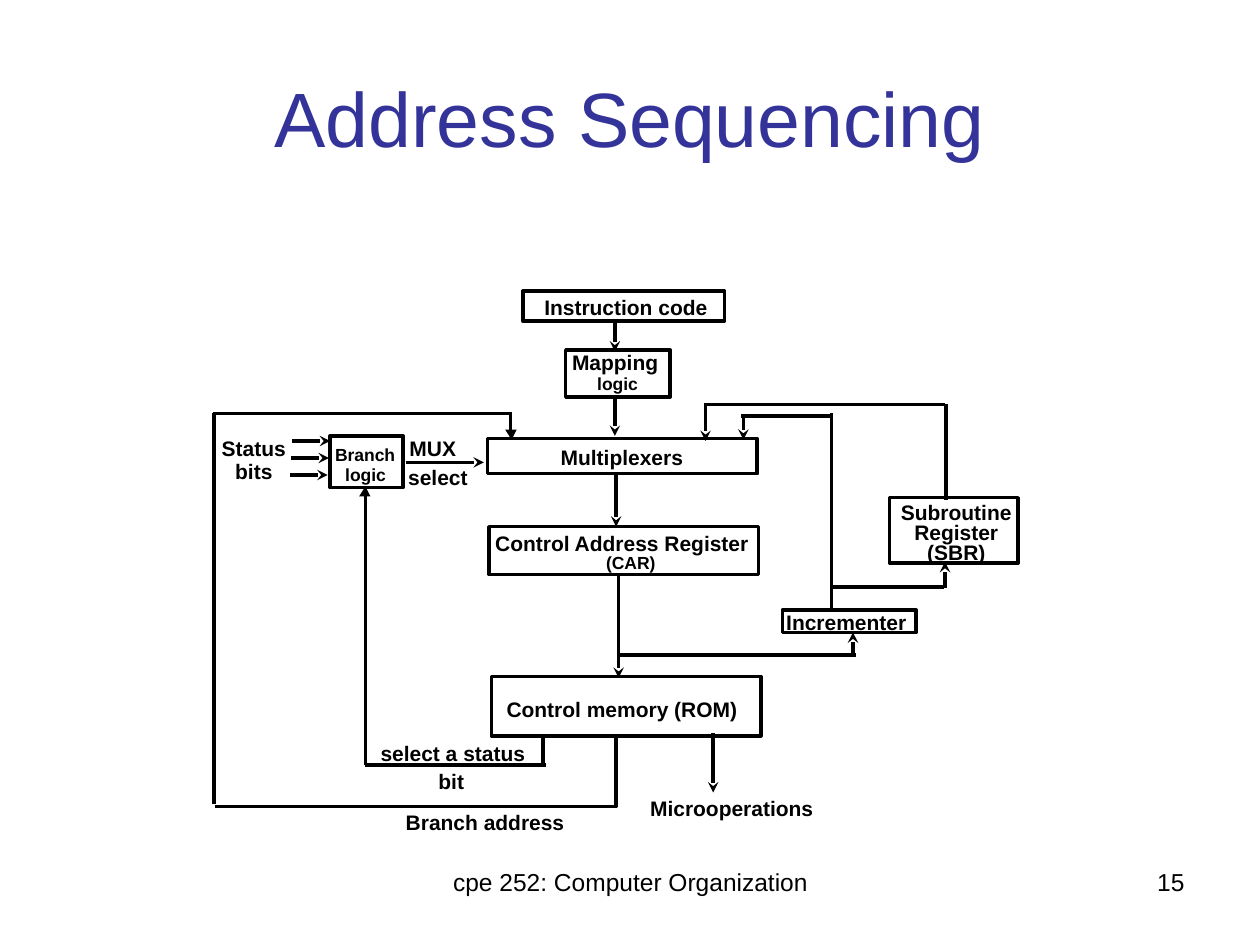
from lxml import etree
from pptx import Presentation
from pptx.dml.color import RGBColor
from pptx.enum.shapes import MSO_CONNECTOR, MSO_SHAPE
from pptx.enum.text import MSO_ANCHOR, MSO_AUTO_SIZE, PP_ALIGN
from pptx.oxml.ns import qn
from pptx.util import Inches, Pt

STRAIGHT = MSO_CONNECTOR.STRAIGHT
RECTANGLE = MSO_SHAPE.RECTANGLE
LEFT, CENTER, RIGHT = PP_ALIGN.LEFT, PP_ALIGN.CENTER, PP_ALIGN.RIGHT
TOP, MIDDLE = MSO_ANCHOR.TOP, MSO_ANCHOR.MIDDLE
NO_FIT = MSO_AUTO_SIZE.NONE

WIDTH, HEIGHT = 10, 7.5
FONT = "Arial"
LINE_WIDTH = 2
COLORS = {"title": "333399", "ink": "000000"}
WIDE_MARGINS = (0.1, 0.05, 0.1, 0.05)
CENTERED_MARGINS = (0.08, 0.04, 0.08, 0.04)
LABEL_MARGINS = (0.08, 0.04, 0, 0.04)

TITLE = "Address Sequencing"
FOOTERS = [
    ("cpe 252: Computer Organization", (3.42, 6.83, 3.17, 0.52), CENTER),
    ("15", (7.17, 6.83, 2.33, 0.52), RIGHT),
]

BOXES = {
    "Instruction code": (4.15, 2.31, 1.6, 0.24),
    "Mapping logic": (4.49, 2.78, 0.83, 0.37),
    "Multiplexers": (3.87, 3.48, 2.14, 0.28),
    "Branch logic": (2.62, 3.46, 0.58, 0.41),
    "Control Address Register": (3.88, 4.18, 2.14, 0.38),
    "Control memory": (3.9, 5.37, 2.14, 0.47),
    "Subroutine Register": (7.06, 3.95, 1.02, 0.52),
    "Incrementer": (6.21, 4.84, 1.06, 0.18),
}

LABELS = [
    ("Instruction code", (4.24, 2.32, 1.46, 0.26), {}),
    ("Mapping", (4.46, 2.76, 0.85, 0.44), {}),
    ("logic", (4.66, 2.94, 0.48, 0.23), {"size": 10}),
    ("Multiplexers", (4.37, 3.51, 1.13, 0.26), {}),
    ("Status\nbits", (1.68, 3.44, 0.67, 0.44),
     {"align": CENTER, "margins": CENTERED_MARGINS}),
    ("Branch", (2.58, 3.5, 0.64, 0.38), {"size": 10}),
    ("logic", (2.66, 3.66, 0.48, 0.23), {"size": 10}),
    ("MUX", (3.17, 3.44, 0.53, 0.44), {}),
    ("select", (3.16, 3.67, 0.63, 0.26), {}),
    ("Control Address Register", (3.85, 4.19, 2.18, 0.44), {}),
    ("(CAR)", (4.73, 4.36, 0.55, 0.23), {"size": 10}),
    ("Subroutine\nRegister\n(SBR)", (7.07, 3.96, 1.04, 0.56),
     {"align": CENTER, "spacing": 0.8, "margins": CENTERED_MARGINS}),
    ("Incrementer", (6.16, 4.82, 1.11, 0.26), {}),
    ("Control memory (ROM)", (3.94, 5.51, 1.99, 0.26), {}),
    ("select a status", (2.94, 5.86, 1.31, 0.44), {}),
    ("bit", (3.4, 6.08, 0.36, 0.26), {}),
    ("Branch address", (3.14, 6.41, 1.42, 0.26), {}),
    ("Microoperations", (5.08, 6.3, 1.46, 0.26), {}),
]

STATUS_ARROWS = [
    ((2.32 - 0.01 * row, 3.5 + 0.135 * row), (2.62 - 0.01 * row, 3.5 + 0.135 * row))
    for row in range(3)
]
ARROWS = STATUS_ARROWS + [
    ((4.88, 2.55), (4.88, 2.79)),
    ((4.88, 3.17), (4.88, 3.46)),
    ((5.6, 3.22), (5.6, 3.5)),
    ((5.9, 3.31), (5.9, 3.49)),
    ((3.22, 3.67), (3.84, 3.67)),
    ((4.89, 3.76), (4.89, 4.18)),
    ((4.91, 4.56), (4.91, 5.38)),
    ((6.77, 5.18), (6.77, 5.02)),
    ((7.5, 4.67), (7.5, 4.46)),
    ((5.66, 5.82), (5.66, 6.29)),
]
LINES = [
    ((4.91, 5.2), (6.79, 5.2)),
    ((6.6, 4.83), (6.6, 3.28)),
    ((6.6, 3.3), (5.88, 3.3)),
    ((6.6, 4.66), (7.49, 4.66)),
    ((7.51, 3.97), (7.51, 3.21)),
    ((7.5, 3.21), (5.59, 3.21)),
    ((4.31, 5.84), (4.31, 6.07)),
    ((4.33, 6.07), (2.9, 6.07)),
    ((2.9, 6.07), (2.9, 3.93)),
    ((1.7, 6.38), (1.7, 3.28)),
    ((1.69, 3.28), (4.06, 3.28)),
    ((4.05, 3.28), (4.05, 3.42)),
]
BRANCH_ADDRESS_PATH = [(4.89, 5.85), (4.89, 6.4), (1.71, 6.4)]
ARROW_TIPS = [
    [(4.01, 3.41), (4.1, 3.41), (4.06, 3.49)],
    [(2.85, 3.94), (2.94, 3.94), (2.9, 3.86)],
]


def color(name):
    return RGBColor.from_string(COLORS[name])


def inches(values):
    return [Inches(value) for value in values]


def write_text(shape, text, size=12, bold=True, ink="ink", align=LEFT, spacing=0.9,
               anchor=TOP, margins=LABEL_MARGINS):
    frame = shape.text_frame
    frame.word_wrap = True
    frame.auto_size = NO_FIT
    frame.vertical_anchor = anchor
    (frame.margin_left, frame.margin_top,
     frame.margin_right, frame.margin_bottom) = inches(margins)
    frame.text = text
    for paragraph in frame.paragraphs:
        paragraph.alignment = align
        paragraph.line_spacing = spacing
        font = paragraph.runs[0].font
        font.name, font.size, font.bold = FONT, Pt(size), bold
        font.color.rgb = color(ink)


def stroke(shape):
    shape.line.color.rgb = color("ink")
    shape.line.width = Pt(LINE_WIDTH)


def add_box(slide, area):
    box = slide.shapes.add_shape(RECTANGLE, *inches(area))
    box.shadow.inherit = False
    box.fill.background()
    stroke(box)


def add_line(slide, start, end, arrow=False):
    line = slide.shapes.add_connector(STRAIGHT, *inches(start + end))
    stroke(line)
    if arrow:
        etree.SubElement(line.line._get_or_add_ln(), qn("a:tailEnd"), type="stealth")
    etree.SubElement(line._element.spPr, qn("a:effectLst"))


def add_outline(slide, points, closed):
    corners = [inches(point) for point in points]
    builder = slide.shapes.build_freeform(*corners[0], scale=1.0)
    builder.add_line_segments(corners[1:], close=closed)
    outline = builder.convert_to_shape()
    outline.shadow.inherit = False
    if closed:
        outline.fill.solid()
        outline.fill.fore_color.rgb = color("ink")
        outline.line.fill.background()
    else:
        outline.fill.background()
        stroke(outline)


def main():
    presentation = Presentation()
    presentation.slide_width, presentation.slide_height = inches((WIDTH, HEIGHT))
    slide = presentation.slides.add_slide(presentation.slide_layouts[5])

    title = slide.shapes.title
    title.left, title.top, title.width, title.height = inches((0.5, 0.3, 9, 1.25))
    write_text(title, TITLE, size=44, bold=False, ink="title", align=CENTER, spacing=1,
               anchor=MIDDLE, margins=WIDE_MARGINS)

    for text, area, align in FOOTERS:
        write_text(slide.shapes.add_textbox(*inches(area)), text, size=14, bold=False,
                   align=align, spacing=1, margins=WIDE_MARGINS)
    for area in BOXES.values():
        add_box(slide, area)
    for text, area, options in LABELS:
        write_text(slide.shapes.add_textbox(*inches(area)), text, **options)
    for start, end in LINES:
        add_line(slide, start, end)
    for start, end in ARROWS:
        add_line(slide, start, end, arrow=True)
    add_outline(slide, BRANCH_ADDRESS_PATH, closed=False)
    for points in ARROW_TIPS:
        add_outline(slide, points, closed=True)

    presentation.save("out.pptx")


if __name__ == "__main__":
    main()
